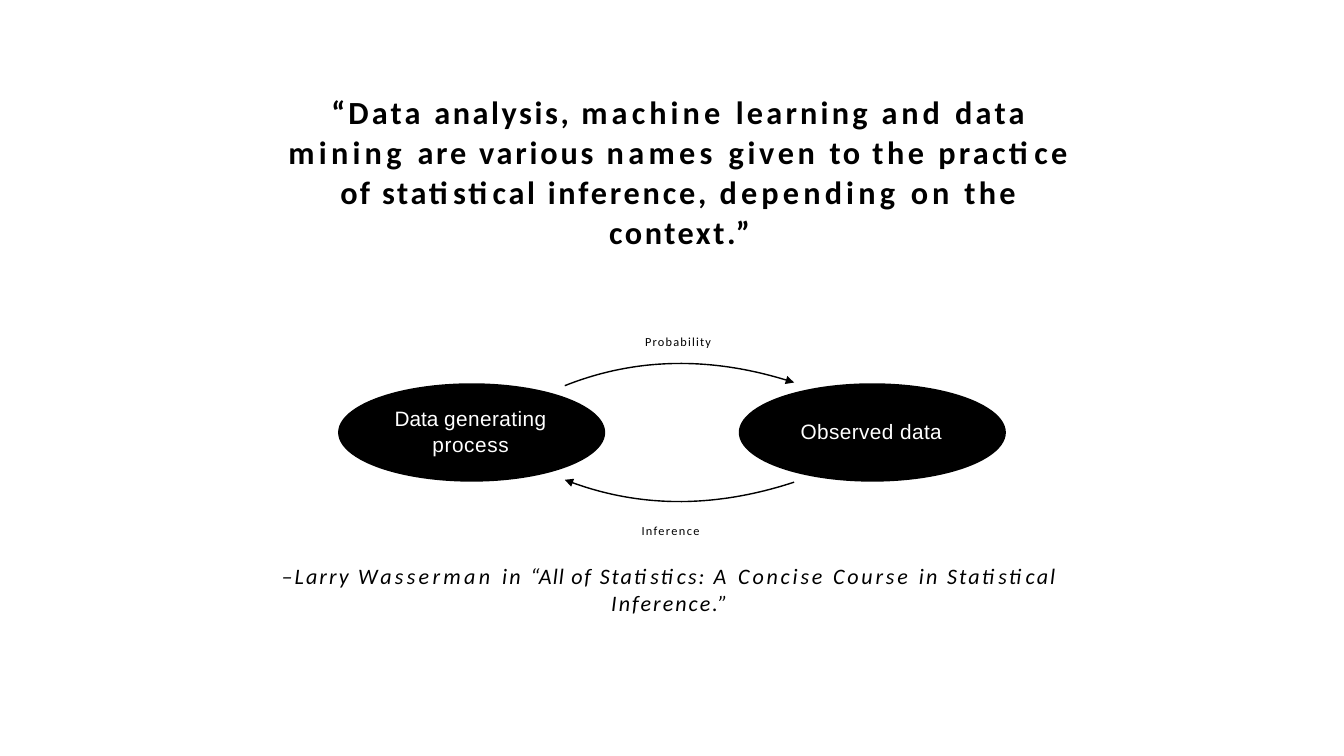
from lxml import etree
from pptx import Presentation
from pptx.dml.color import RGBColor
from pptx.enum import shapes, text
from pptx.oxml import ns
from pptx.util import Cm, Pt

COLORS = {"ink": "000000", "paper": "FFFFFF"}


def write(frame, runs, size, font="Calibri", color="ink", align=text.PP_ALIGN.LEFT):
    frame.word_wrap = True
    frame.auto_size = text.MSO_AUTO_SIZE.NONE
    frame.margin_left = frame.margin_right = frame.margin_top = frame.margin_bottom = 0
    paragraph = frame.paragraphs[0]
    paragraph.alignment = align
    paragraph.font.size = Pt(size)
    paragraph.font.name = font
    paragraph.font.color.rgb = RGBColor.from_string(COLORS[color])
    for words, tracking in runs:
        run = paragraph.add_run()
        run.text = words
        run.font._element.set("spc", str(round(tracking * 100)))
    return paragraph


def add_text(left, top, width, height, runs, size):
    box = slide.shapes.add_textbox(Cm(left), Cm(top), Cm(width), Cm(height))
    return write(box.text_frame, runs, size)


presentation = Presentation()
presentation.slide_width = Cm(55.85)
presentation.slide_height = Cm(31.42)
slide = presentation.slides.add_slide(presentation.slide_layouts[5])

title = slide.shapes.title
title.left, title.top, title.width, title.height = Cm(11.64), Cm(3.8), Cm(33.2), Cm(6.65)
title.text_frame.vertical_anchor = text.MSO_ANCHOR.TOP
quote = [
    ("“Data ", 3.7), ("analysis, ", 3), ("machine ", 4.8), ("learning ", 3.8),
    ("and ", 4.6), ("data ", 3.8), ("mining ", 5), ("are various ", 3.3),
    ("names ", 5.1), ("given ", 4.3), ("to ", 2.8), ("the ", 4.1), ("practice ", 3.8),
    ("of ", 2.7), ("statistical ", 3.1), ("inference, ", 3.3), ("depending ", 4.9),
    ("on ", 4.5), ("the ", 3.8), ("context.”", 3),
]
paragraph = write(title.text_frame, quote, 38, align=text.PP_ALIGN.CENTER)
paragraph.font.bold = True
paragraph.line_spacing = Pt(47)
paragraph.space_before = Pt(0)

attribution = [
    ("–Larry ", 2.5), ("Wasserman ", 3.9), ("in ", 2.7), ("“All ", 1.3), ("of ", 2.1),
    ("Statistics: ", 2.3), ("A ", 4), ("Concise Course ", 3.3), ("in ", 2.7),
    ("Statistical ", 2.5), ("Inference.”", 2.4),
]
paragraph = add_text(11.7, 23.34, 33.2, 2.31, attribution, 26)
paragraph.font.italic = True
paragraph.line_spacing = 1.03
properties = paragraph._p.get_or_add_pPr()
properties.set("marL", str(Cm(13.7)))
properties.set("indent", str(-Cm(13.7)))

nodes = [
    (14.05, [("Data ", 0), ("generating ", 0.5), ("process", 0.7)]),
    (30.7, [("Observed data", 0.5)]),
]
for left, runs in nodes:
    node = slide.shapes.add_shape(shapes.MSO_SHAPE.OVAL, Cm(left), Cm(15.93), Cm(11.1), Cm(4.09))
    node.shadow.inherit = False
    node.fill.solid()
    node.fill.fore_color.rgb = RGBColor.from_string(COLORS["ink"])
    node.line.fill.background()
    node.text_frame.vertical_anchor = text.MSO_ANCHOR.MIDDLE
    paragraph = write(node.text_frame, runs, 24.5, "Arial", "paper", text.PP_ALIGN.CENTER)
    paragraph.line_spacing = 1.04
    node.text_frame.margin_bottom = Cm(0.16)
    node.text_frame.margin_right = Cm(0.08)

STEPS = 40
arrows = [
    ((23.47, 16.03), (27.95, 14.25), (33, 15.9)),
    ((33, 20.04), (27.95, 21.7), (23.47, 19.94)),
]
for start, control, end in arrows:
    points = []
    for step in range(STEPS + 1):
        t = step / STEPS
        points.append(tuple(
            Cm((1 - t) ** 2 * a + 2 * t * (1 - t) * b + t ** 2 * c)
            for a, b, c in zip(start, control, end)
        ))
    builder = slide.shapes.build_freeform(*points[0])
    builder.add_line_segments(points[1:], close=False)
    arrow = builder.convert_to_shape()
    arrow.shadow.inherit = False
    arrow.fill.background()
    arrow.line.color.rgb = RGBColor.from_string(COLORS["ink"])
    arrow.line.width = Pt(1.65)
    line = arrow.line._get_or_add_ln()
    etree.SubElement(line, ns.qn("a:tailEnd"), type="triangle", w="lg", len="lg")

add_text(26.81, 13.88, 2.95, 0.71, [("Probability", 1.4)], 14.5)
add_text(26.66, 21.73, 2.6, 0.71, [("Inference", 1.6)], 14.5)

presentation.save("out.pptx")
